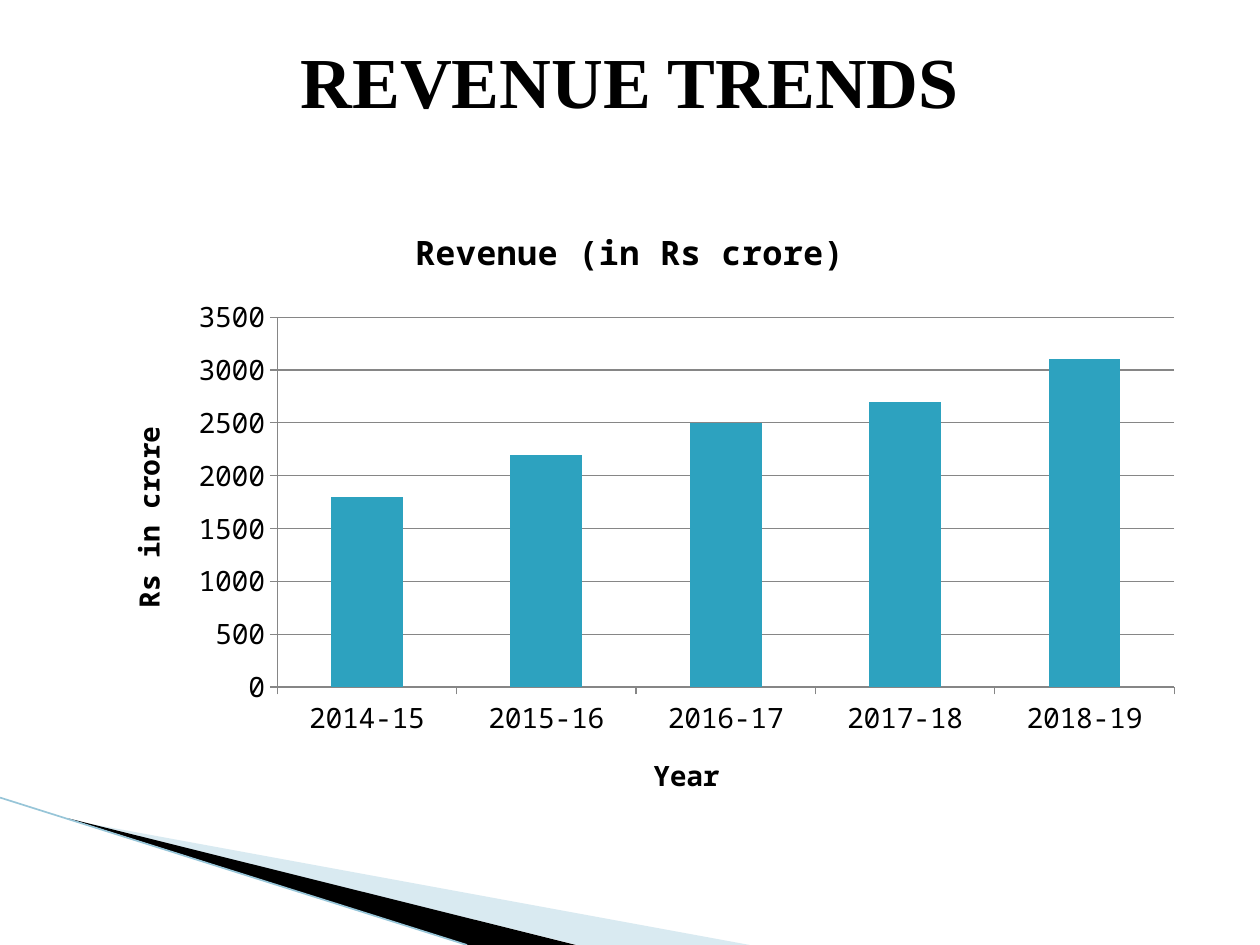
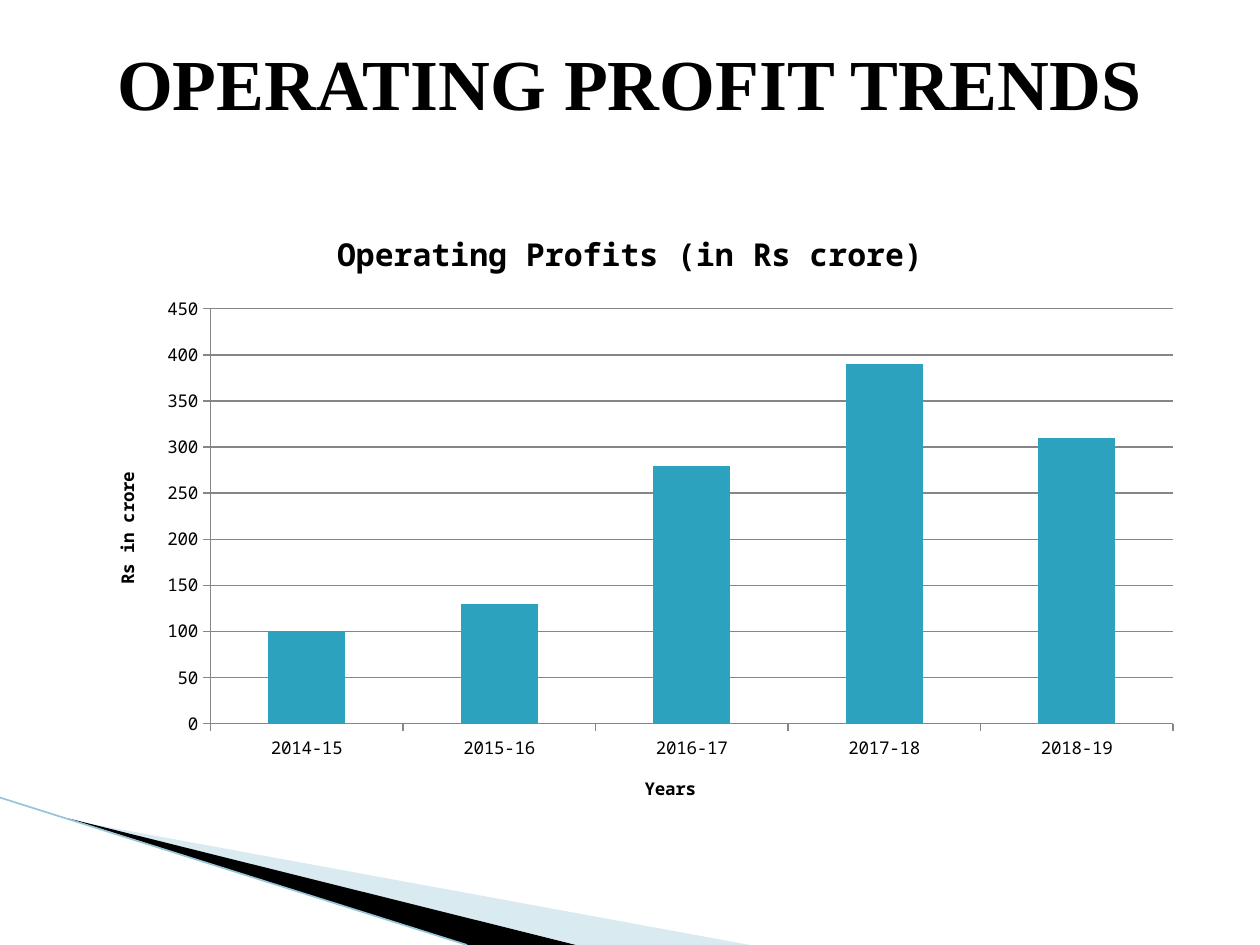
import dataclasses
import typing

import lxml.etree
import pptx
import pptx.chart.data
import pptx.dml.color
import pptx.enum.chart
import pptx.enum.shapes
import pptx.enum.text
import pptx.oxml.ns
import pptx.util


@dataclasses.dataclass(frozen=True)
class Theme:
    ink: str = "000000"
    bar: str = "2DA2BF"
    rule: str = "868686"
    sweep_light: str = "A0CBDC"
    sweep_edge: str = "97C5D8"
    sweep_opacity: int = 40
    title_font: str = "Times New Roman"
    chart_font: str = "Noto Sans Mono"
    title_size: float = 41
    edge_width: float = 0.95
    rule_width: float = 0.75


class Box(typing.NamedTuple):
    left: float
    top: float
    width: float
    height: float


class Trend(typing.NamedTuple):
    heading: str
    measure: str
    period: str
    amounts: tuple
    ceiling: int
    step: int
    label_size: float
    caption_size: float
    heading_box: Box
    chart_box: Box
    plot_box: Box


THEME = Theme()
WIDTH = pptx.util.Inches(10)
HEIGHT = pptx.util.Inches(7.5)
TITLE_ONLY = 5
YEARS = [f"20{year}-{year + 1}" for year in range(14, 19)]
SWEEP_BOX = Box(0, 0.844, 0.595, 0.156)

TRENDS = (
    Trend("REVENUE TRENDS", "Revenue (in Rs crore)", "Year",
          (1800, 2200, 2500, 2700, 3100), 3500, 500, 16, 19.2,
          Box(0.05, 0.001, 0.9, 0.167), Box(0.05, 0.211, 0.9, 0.66),
          Box(0.189, 0.189, 0.791, 0.593)),
    Trend("OPERATING PROFIT TRENDS", "Operating Profits (in Rs crore)", "Years",
          (100, 130, 280, 390, 310), 450, 50, 10, 18,
          Box(0.05, 0.003, 0.9, 0.167), Box(0.05, 0.216, 0.9, 0.66),
          Box(0.13, 0.168, 0.849, 0.665)),
)


def rgb(colour):
    return pptx.dml.color.RGBColor.from_string(colour)


def in_emu(box):
    return (round(box.left * WIDTH), round(box.top * HEIGHT),
            round(box.width * WIDTH), round(box.height * HEIGHT))


def write(paragraph, words, font_name, size):
    run = paragraph.add_run()
    run.text = words
    run.font.name = font_name
    run.font.size = pptx.util.Pt(size)
    run.font.bold = True
    run.font.color.rgb = rgb(THEME.ink)


def add_blade(slide, points, colour):
    builder = slide.shapes.build_freeform(*points[0])
    builder.add_line_segments(points[1:], close=True)
    blade = builder.convert_to_shape()
    blade.shadow.inherit = False
    blade.fill.solid()
    blade.fill.fore_color.rgb = rgb(colour)
    blade.line.fill.background()
    return blade


def add_sweep(slide, layout, box):
    left, top, width, height = in_emu(box)

    def spot(across, down):
        return round(left + across * width), round(top + down * height)

    light = add_blade(slide, [spot(0.09, 0.15), spot(1, 1), spot(0.77, 1)],
                      THEME.sweep_light)
    tint = light.fill._xPr.find(".//" + pptx.oxml.ns.qn("a:srgbClr"))
    lxml.etree.SubElement(tint, pptx.oxml.ns.qn("a:alpha"),
                          val=str(THEME.sweep_opacity * 1000))
    dark = add_blade(slide, [spot(0.09, 0.14), spot(0.768, 1), spot(0.623, 1)],
                     THEME.ink)
    edge = slide.shapes.add_connector(
        pptx.enum.shapes.MSO_CONNECTOR.STRAIGHT, *spot(0, 0), *spot(0.623, 1))
    edge.line.color.rgb = rgb(THEME.sweep_edge)
    edge.line.width = pptx.util.Pt(THEME.edge_width)
    lxml.etree.SubElement(edge.element.spPr, pptx.oxml.ns.qn("a:effectLst"))
    for part in (light, dark, edge):
        layout.shapes.element.append(part.element)


def place_heading(slide, words, box):
    heading = slide.shapes.title
    heading.left, heading.top, heading.width, heading.height = in_emu(box)
    frame = heading.text_frame
    frame.word_wrap = True
    frame.auto_size = pptx.enum.text.MSO_AUTO_SIZE.NONE
    frame.vertical_anchor = pptx.enum.text.MSO_ANCHOR.MIDDLE
    frame.paragraphs[0].alignment = pptx.enum.text.PP_ALIGN.CENTER
    write(frame.paragraphs[0], words, THEME.title_font, THEME.title_size)


def fix_plot(chart, box):
    qn = pptx.oxml.ns.qn
    plot_area = chart.element.find(".//" + qn("c:plotArea"))
    for old in plot_area.findall(qn("c:layout")):
        plot_area.remove(old)
    layout = lxml.etree.Element(qn("c:layout"))
    manual = lxml.etree.SubElement(layout, qn("c:manualLayout"))
    settings = [("layoutTarget", "inner"), ("xMode", "edge"), ("yMode", "edge")]
    settings += zip("xywh", map(str, box))
    for tag, setting in settings:
        lxml.etree.SubElement(manual, qn("c:" + tag), val=setting)
    plot_area.insert(0, layout)


def style_rule(line):
    line.color.rgb = rgb(THEME.rule)
    line.width = pptx.util.Pt(THEME.rule_width)


def style_axis(axis, name, size):
    axis.major_tick_mark = pptx.enum.chart.XL_TICK_MARK.OUTSIDE
    axis.minor_tick_mark = pptx.enum.chart.XL_TICK_MARK.NONE
    style_rule(axis.format.line)
    write(axis.axis_title.text_frame.paragraphs[0], name, THEME.chart_font, size)


def place_chart(slide, trend, box):
    figures = pptx.chart.data.CategoryChartData(number_format="General")
    figures.categories = YEARS
    figures.add_series(trend.measure, trend.amounts)
    chart = slide.shapes.add_chart(
        pptx.enum.chart.XL_CHART_TYPE.COLUMN_CLUSTERED, *in_emu(box), figures).chart
    chart.font.name = THEME.chart_font
    chart.font.size = pptx.util.Pt(trend.label_size)
    chart.font.color.rgb = rgb(THEME.ink)
    chart.has_legend = False
    write(chart.chart_title.text_frame.paragraphs[0], trend.measure,
          THEME.chart_font, trend.caption_size)
    chart.chart_title.include_in_layout = False

    style_axis(chart.category_axis, trend.period, trend.label_size)
    amounts = chart.value_axis
    style_axis(amounts, "Rs in crore", trend.label_size)
    amounts.minimum_scale = 0
    amounts.maximum_scale = trend.ceiling
    amounts.major_unit = trend.step
    amounts.has_major_gridlines = True
    style_rule(amounts.major_gridlines.format.line)

    columns = chart.plots[0]
    columns.gap_width = 150
    columns.vary_by_categories = False
    columns.series[0].format.fill.solid()
    columns.series[0].format.fill.fore_color.rgb = rgb(THEME.bar)
    fix_plot(chart, trend.plot_box)


def add_trend_slide(deck, layout, trend):
    slide = deck.slides.add_slide(layout)
    place_chart(slide, trend, trend.chart_box)
    place_heading(slide, trend.heading, trend.heading_box)
    return slide


def main():
    deck = pptx.Presentation()
    deck.slide_width = WIDTH
    deck.slide_height = HEIGHT
    layout = deck.slide_layouts[TITLE_ONLY]
    slides = [add_trend_slide(deck, layout, trend) for trend in TRENDS]
    add_sweep(slides[0], layout, SWEEP_BOX)
    deck.save("out.pptx")


main()
